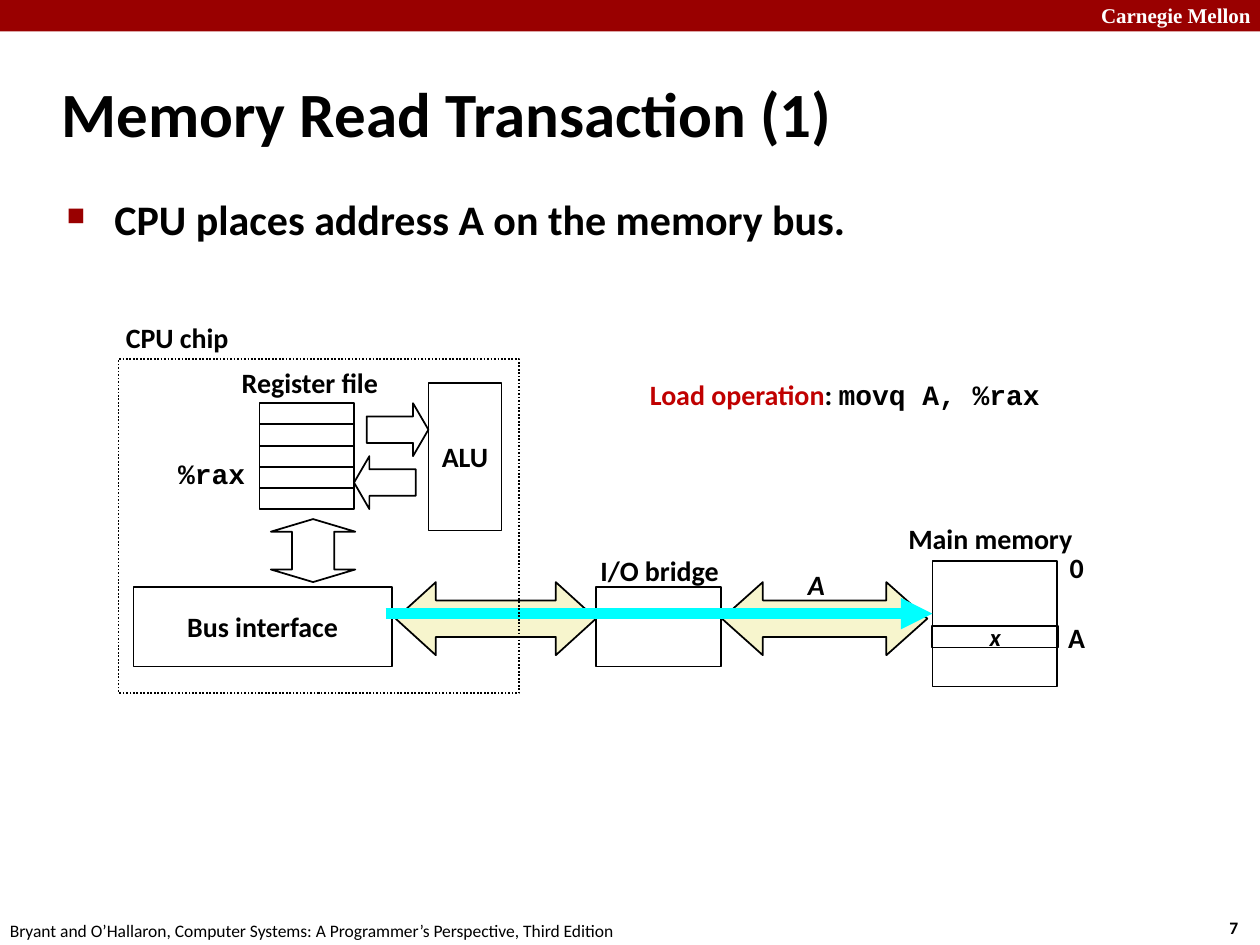
"""Build the slide on the first step of a memory read transaction."""
from dataclasses import dataclass

from lxml.etree import SubElement
from pptx import Presentation
from pptx.dml.color import RGBColor
from pptx.enum.dml import MSO_LINE
from pptx.enum.shapes import MSO_CONNECTOR, MSO_SHAPE
from pptx.enum.text import MSO_ANCHOR, PP_ALIGN
from pptx.oxml.ns import qn
from pptx.util import Inches, Pt


@dataclass(frozen=True)
class Theme:
    black: str = "000000"
    white: str = "FFFFFF"
    maroon: str = "990000"
    red: str = "C00000"
    cream: str = "F7F5CD"
    cyan: str = "00FFFF"
    sans: str = "Calibri"
    mono: str = "Courier New"
    serif: str = "Times New Roman"
    title: int = 36
    body: int = 24
    label: int = 16
    cell: int = 14
    header: int = 12
    footer: int = 10


theme = Theme()


def write(shape, spans, align=PP_ALIGN.LEFT, anchor=MSO_ANCHOR.MIDDLE):
    frame = shape.text_frame
    frame.word_wrap = False
    frame.vertical_anchor = anchor
    para = frame.paragraphs[0]
    para.alignment = align
    for text, size, face, color, bold, italic in spans:
        span = para.add_run()
        span.text = text
        span.font.size = Pt(size)
        span.font.name = face
        span.font.color.rgb = RGBColor.from_string(color)
        span.font.bold = bold
        span.font.italic = italic
    return para


def draw(page, kind, place, fill=None, line=theme.black):
    shape = page.shapes.add_shape(kind, *map(Inches, place))
    shape.shadow.inherit = False
    if fill:
        shape.fill.solid()
        shape.fill.fore_color.rgb = RGBColor.from_string(fill)
    else:
        shape.fill.background()
    if line:
        shape.line.color.rgb = RGBColor.from_string(line)
        shape.line.width = Pt(1)
    else:
        shape.line.fill.background()
    return shape


deck = Presentation()
deck.slide_width, deck.slide_height = Inches(10), Inches(7.5)
page = deck.slides.add_slide(deck.slide_layouts[6])

draw(page, MSO_SHAPE.RECTANGLE, (0, 0, 10, 0.25), theme.maroon, None)
for text, place, size, face, color, bold, anchor in [
    ("Carnegie Mellon", (8.64, -0.03, 1.43, 0.3), theme.header, theme.serif, theme.white, True, MSO_ANCHOR.TOP),
    ("7", (9.66, 7.23, 0.37, 0.27), theme.footer, theme.sans, theme.black, True, MSO_ANCHOR.TOP),
    ("Bryant and O’Hallaron, Computer Systems: A Programmer’s Perspective, Third Edition",
     (-0.02, 7.25, 5.08, 0.27), theme.footer, theme.sans, theme.black, False, MSO_ANCHOR.TOP),
    ("Memory Read Transaction (1)", (0.39, 0.48, 8.3, 0.83),
     theme.title, theme.sans, theme.black, True, MSO_ANCHOR.MIDDLE),
]:
    box = page.shapes.add_textbox(*map(Inches, place))
    write(box, [(text, size, face, color, bold, False)], anchor=anchor)
    box.text_frame.word_wrap = True

body = page.shapes.add_textbox(Inches(0.43), Inches(1.49), Inches(8.64), Inches(5.44))
para = write(body, [("CPU places address A on the memory bus.", theme.body, theme.sans, theme.black, True, False)],
             anchor=MSO_ANCHOR.TOP)
body.text_frame.word_wrap = True
bullet = para._p.get_or_add_pPr()
bullet.set("marL", str(Inches(0.38)))
bullet.set("indent", str(-Inches(0.38)))
SubElement(SubElement(bullet, qn("a:buClr")), qn("a:srgbClr"), val=theme.maroon)
SubElement(bullet, qn("a:buSzPct"), val="60000")
SubElement(bullet, qn("a:buChar"), char="■")

draw(page, MSO_SHAPE.RECTANGLE, (7.4, 4.45, 0.99, 1))
draw(page, MSO_SHAPE.RECTANGLE, (4.73, 4.66, 0.99, 0.63))
for row in range(5):
    draw(page, MSO_SHAPE.RECTANGLE, (2.06, 3.2 + row * 0.84 / 5, 0.75, 0.17))

for kind, place, head, fill in [
    (MSO_SHAPE.LEFT_RIGHT_ARROW, (5.73, 4.62, 1.63, 0.58), 56000, theme.cream),
    (MSO_SHAPE.LEFT_RIGHT_ARROW, (3.14, 4.62, 1.59, 0.58), 55000, theme.cream),
    (MSO_SHAPE.RIGHT_ARROW, (2.91, 3.2, 0.49, 0.42), 29000, None),
    (MSO_SHAPE.LEFT_ARROW, (2.81, 3.62, 0.49, 0.42), 29000, None),
    (MSO_SHAPE.UP_DOWN_ARROW, (2.15, 4.12, 0.67, 0.5), 20000, None),
]:
    arrow = draw(page, kind, place, fill)
    guides = arrow._element.spPr.find(qn("a:prstGeom")).find(qn("a:avLst"))
    guides.clear()
    for name, value in [("adj1", 50000), ("adj2", head)]:
        SubElement(guides, qn("a:gd"), name=name, fmla=f"val {value}")

for text, place, fill, size, italic in [
    ("ALU", (3.4, 3.04, 0.58, 1.17), None, theme.label, False),
    ("Bus interface", (1.06, 4.66, 2.05, 0.63), theme.white, theme.label, False),
]:
    part = draw(page, MSO_SHAPE.RECTANGLE, place, fill)
    write(part, [(text, size, theme.sans, theme.black, True, italic)], PP_ALIGN.CENTER)

signal = page.shapes.add_connector(MSO_CONNECTOR.STRAIGHT, Inches(3.06), Inches(4.87), Inches(7.4), Inches(4.87))
signal.line.color.rgb = RGBColor.from_string(theme.cyan)
signal.line.width = Pt(6)
SubElement(signal.line._get_or_add_ln(), qn("a:tailEnd"), type="triangle")
SubElement(signal._element.spPr, qn("a:effectLst"))

word = draw(page, MSO_SHAPE.RECTANGLE, (7.4, 4.97, 1, 0.17))
write(word, [("x", theme.cell, theme.sans, theme.black, True, True)], PP_ALIGN.CENTER)

for text, place, face, align, italic in [
    ("A", (6.31, 4.45, 0.34, 0.37), theme.sans, PP_ALIGN.CENTER, True),
    ("0", (8.39, 4.32, 0.32, 0.37), theme.sans, PP_ALIGN.LEFT, False),
    ("A", (8.38, 4.87, 0.34, 0.37), theme.sans, PP_ALIGN.LEFT, False),
    ("Register file", (1.81, 2.85, 1.3, 0.37), theme.sans, PP_ALIGN.CENTER, False),
    ("Main memory", (7.1, 4.09, 1.52, 0.37), theme.sans, PP_ALIGN.CENTER, False),
    ("I/O bridge", (4.66, 4.34, 1.15, 0.37), theme.sans, PP_ALIGN.CENTER, False),
    ("%rax", (1.31, 3.57, 0.74, 0.37), theme.mono, PP_ALIGN.CENTER, False),
    ("CPU chip", (0.9, 2.49, 1.06, 0.37), theme.sans, PP_ALIGN.LEFT, False),
]:
    box = page.shapes.add_textbox(*map(Inches, place))
    write(box, [(text, theme.label, face, theme.black, True, italic)], align)

operation = page.shapes.add_textbox(Inches(5.06), Inches(2.95), Inches(3.34), Inches(0.64))
write(operation, [
    ("Load operation", theme.label, theme.sans, theme.red, True, False),
    (": ", theme.label, theme.sans, theme.black, True, False),
    ("movq A, %rax", theme.label, theme.mono, theme.black, True, False),
], anchor=MSO_ANCHOR.TOP)

chip = draw(page, MSO_SHAPE.RECTANGLE, (0.94, 2.85, 3.18, 2.65))
chip.line.dash_style = MSO_LINE.ROUND_DOT

deck.save("out.pptx")
